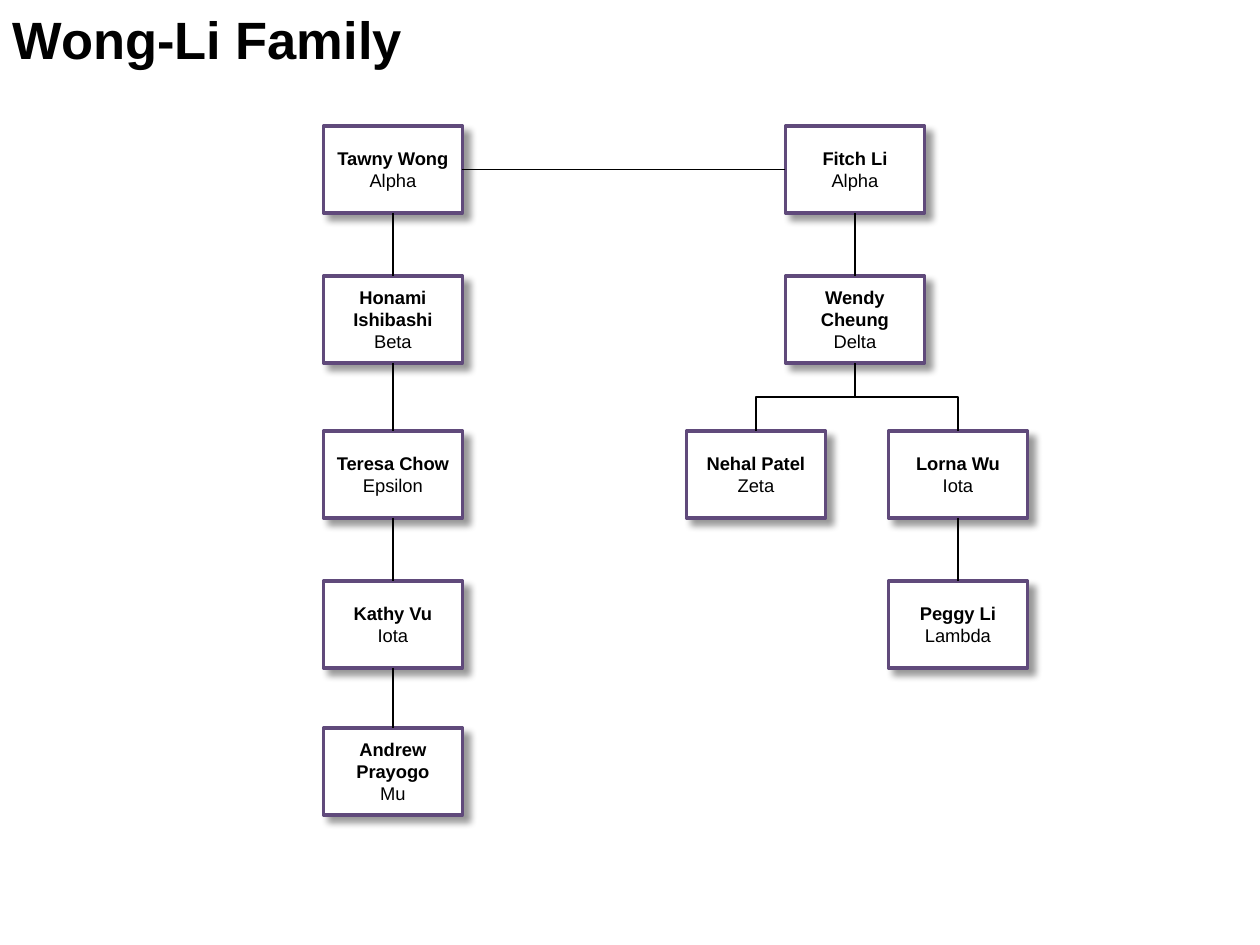
from lxml import etree
from pptx import Presentation
from pptx import util as u
from pptx.dml.color import RGBColor
from pptx.enum import shapes, text
from pptx.oxml.ns import qn

BLACK = RGBColor(0x00, 0x00, 0x00)
WHITE = RGBColor(0xFF, 0xFF, 0xFF)
PURPLE = RGBColor(0x60, 0x4A, 0x7B)

PX = 914400 / 126  # EMU per pixel
TOP, LEFT, BOTTOM, RIGHT = range(4)  # connection sites of a rectangle


def px(length):
    return u.Emu(round(length * PX))


class FamilyTree:
    font = "Arial"
    card_width, card_height = 139, 87

    def __init__(self, slide):
        self.slide = slide

    def style(self, paragraph, size, bold):
        for run in paragraph.runs:
            run.font.name = self.font
            run.font.size = u.Pt(size)
            run.font.bold = bold
            run.font.color.rgb = BLACK

    def title(self, wording):
        heading = self.slide.shapes.title
        heading.left, heading.top, heading.width, heading.height = map(px, (0, 0, 1260, 77))
        frame = heading.text_frame
        frame.text = wording
        frame.word_wrap = True
        frame.auto_size = text.MSO_AUTO_SIZE.SHAPE_TO_FIT_TEXT
        frame.vertical_anchor = text.MSO_ANCHOR.MIDDLE
        frame.paragraphs[0].alignment = text.PP_ALIGN.LEFT
        self.style(frame.paragraphs[0], 30, True)

    def card(self, name, group, center, top):
        card = self.slide.shapes.add_shape(
            shapes.MSO_SHAPE.RECTANGLE, px(center - self.card_width / 2), px(top),
            px(self.card_width), px(self.card_height))
        card.fill.solid()
        card.fill.fore_color.rgb = WHITE
        card.line.color.rgb = PURPLE
        card.line.width = u.Pt(2)
        self.drop_shadow(card)
        frame = card.text_frame
        frame.text = f"{name}\n{group}"
        frame.word_wrap = True
        frame.vertical_anchor = text.MSO_ANCHOR.MIDDLE
        for paragraph, bold in zip(frame.paragraphs, (True, False)):
            paragraph.alignment = text.PP_ALIGN.CENTER
            self.style(paragraph, 10.5, bold)
        return card

    def drop_shadow(self, card):
        card.shadow.inherit = False
        effects = card._element.spPr.find(qn("a:effectLst"))
        shadow = etree.SubElement(
            effects, qn("a:outerShdw"), blurRad=str(u.Pt(4)), dist=str(u.Pt(5)),
            dir=str(45 * 60000), algn="tl", rotWithShape="0")
        color = etree.SubElement(shadow, qn("a:srgbClr"), val=str(BLACK))
        etree.SubElement(color, qn("a:alpha"), val="40000")

    def link(self, start, end, start_site=BOTTOM, end_site=TOP,
             kind=shapes.MSO_CONNECTOR.STRAIGHT):
        link = self.slide.shapes.add_connector(kind, 0, 0, 0, 0)
        link.begin_connect(start, start_site)
        link.end_connect(end, end_site)
        link.line.color.rgb = BLACK
        link.line.width = u.Pt(0.75)
        etree.SubElement(link._element.spPr, qn("a:effectLst"))
        return link

    def branch(self, parent, child):
        """Elbow that leaves the parent downwards: a quarter-turned connector."""
        link = self.link(parent, child, kind=shapes.MSO_CONNECTOR.ELBOW)
        goes_right = link.end_x > link.begin_x
        left, top, width, height = link.left, link.top, link.width, link.height
        link.left = u.Emu(left + (width - height) // 2)
        link.top = u.Emu(top + (height - width) // 2)
        link.width, link.height = height, width
        frame = link._element.spPr.find(qn("a:xfrm"))
        frame.set("rot", str((270 if goes_right else 90) * 60000))
        frame.set("flipH", "1" if goes_right else "0")


def main():
    deck = Presentation()
    deck.slide_width, deck.slide_height = px(1260), px(945)
    tree = FamilyTree(deck.slides.add_slide(deck.slide_layouts[5]))
    tree.title("Wong-Li Family")

    # Generations from top to bottom, branches by their center line
    rows = (126, 276, 431, 581, 728)
    wong, li, patel, wu = 393, 855, 756, 958
    members = (
        ("Tawny Wong", "Alpha", wong, 0),
        ("Fitch Li", "Alpha", li, 0),
        ("Honami Ishibashi", "Beta", wong, 1),
        ("Teresa Chow", "Epsilon", wong, 2),
        ("Kathy Vu", "Iota", wong, 3),
        ("Andrew Prayogo", "Mu", wong, 4),
        ("Wendy Cheung", "Delta", li, 1),
        ("Nehal Patel", "Zeta", patel, 2),
        ("Lorna Wu", "Iota", wu, 2),
        ("Peggy Li", "Lambda", wu, 3),
    )
    cards = {name: tree.card(name, group, center, rows[row])
             for name, group, center, row in members}

    # The founding pair
    tree.link(cards["Tawny Wong"], cards["Fitch Li"], RIGHT, LEFT)

    # Straight lines of descent
    descents = (
        ("Tawny Wong", "Honami Ishibashi", "Teresa Chow", "Kathy Vu", "Andrew Prayogo"),
        ("Fitch Li", "Wendy Cheung"),
        ("Lorna Wu", "Peggy Li"),
    )
    for line in descents:
        for parent, child in zip(line, line[1:]):
            tree.link(cards[parent], cards[child])

    # The fork below Wendy Cheung
    for child in ("Nehal Patel", "Lorna Wu"):
        tree.branch(cards["Wendy Cheung"], cards[child])

    deck.save("out.pptx")


if __name__ == "__main__":
    main()
